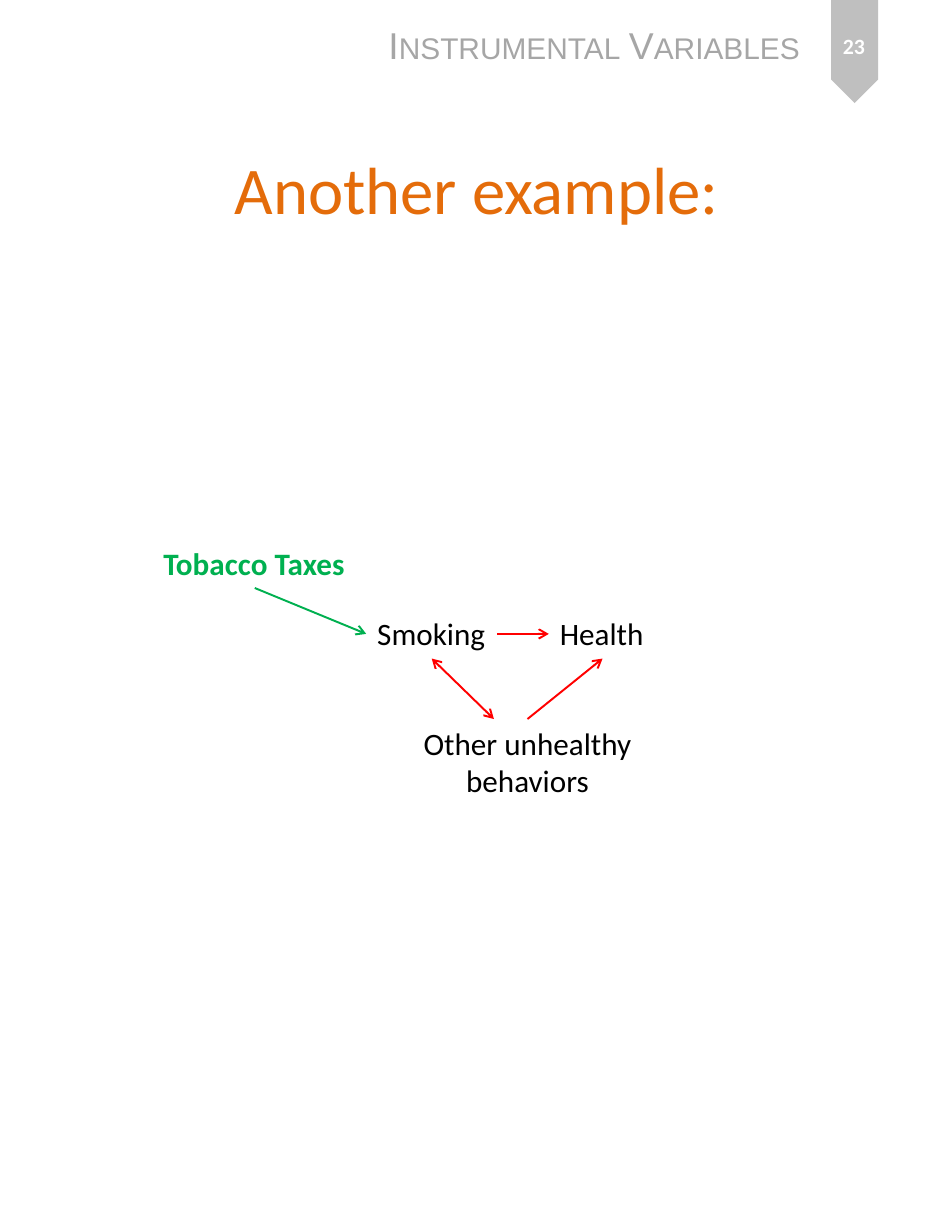
from pptx import Presentation, util as u
from pptx.dml.color import RGBColor
from pptx.enum import shapes, text
from pptx.oxml.ns import qn
from lxml import etree

BLACK = RGBColor(0x00, 0x00, 0x00)
WHITE = RGBColor(0xFF, 0xFF, 0xFF)
SILVER = RGBColor(0xBF, 0xBF, 0xBF)
GREY = RGBColor(0xA6, 0xA6, 0xA6)
ORANGE = RGBColor(0xE4, 0x6C, 0x0A)
RED = RGBColor(0xFF, 0x00, 0x00)
GREEN = RGBColor(0x00, 0xB0, 0x50)

COLS, ROWS = 34, 44  # quarter-inch grid
TOP, LEFT, BOTTOM, RIGHT = range(4)


def write(tf, content, size=20, font="Calibri", color=BLACK, bold=False,
          align=None, small_caps=False):
    """Fill the frame with one paragraph; \\v marks a line break."""
    p = tf.paragraphs[0]
    p.text = content
    p.alignment = align
    for r in p.runs:
        r.font.size = u.Pt(size)
        r.font.name = font
        r.font.bold = bold
        r.font.color.rgb = color
        if small_caps:
            r.font._element.set("cap", "small")


class Page:
    def __init__(self, prs):
        self.s = prs.slides.add_slide(prs.slide_layouts[6])
        self.col = prs.slide_width / COLS
        self.row = prs.slide_height / ROWS

    def grid(self, x, y):
        return round(x * self.col), round(y * self.row)

    def label(self, content, x, y, w, h, wrap=False, anchor=None, **fmt):
        sp = self.s.shapes.add_textbox(*self.grid(x, y), *self.grid(w, h))
        tf = sp.text_frame
        tf.word_wrap = wrap
        tf.auto_size = (text.MSO_AUTO_SIZE.NONE if wrap
                        else text.MSO_AUTO_SIZE.SHAPE_TO_FIT_TEXT)
        tf.vertical_anchor = anchor
        write(tf, content, **fmt)
        return sp

    def ribbon(self, x, y, w, h, color):
        sp = self.s.shapes.add_shape(shapes.MSO_SHAPE.PENTAGON,
                                     *self.grid(x, y), *self.grid(w, h))
        sp.rotation = 90
        sp.shadow.inherit = False
        sp.fill.solid()
        sp.fill.fore_color.rgb = color
        sp.line.fill.background()

    def arrow(self, start, side, end, end_side=None, color=RED, both=False):
        """Run from a side of one label to another label's side or a point."""
        target = (0, 0) if end_side is not None else self.grid(*end)
        c = self.s.shapes.add_connector(shapes.MSO_CONNECTOR.STRAIGHT,
                                        0, 0, *target)
        c.begin_connect(start, side)
        if end_side is not None:
            c.end_connect(end, end_side)
        c.line.color.rgb = color
        c.line.width = u.Pt(1.25)
        ln = c.line._get_or_add_ln()
        for tag in ("a:headEnd", "a:tailEnd") if both else ("a:tailEnd",):
            etree.SubElement(ln, qn(tag), type="arrow")
        etree.SubElement(c._element.spPr, qn("a:effectLst"))


def main():
    prs = Presentation()
    prs.slide_width, prs.slide_height = u.Inches(8.5), u.Inches(11)
    page = Page(prs)
    center = text.PP_ALIGN.CENTER

    # Running header and page number
    page.ribbon(28.68, 1, 3.68, 1.68, SILVER)
    page.label("Instrumental Variables", 13.48, 0.6, 15.56, 2, size=24,
               font="Arial", color=GREY, small_caps=True)
    page.label("23", 29.16, 0.44, 2.68, 2.36, wrap=True,
               anchor=text.MSO_ANCHOR.MIDDLE, size=14, color=WHITE,
               bold=True, align=center)

    # Title
    page.label("Another example:", 1.72, 5.08, 30.6, 7.32, wrap=True,
               size=42.9, color=ORANGE, align=center)

    # Causal diagram: variables
    health = page.label("Health", 19.6, 21.76, 3.84, 1.76)
    smoking = page.label("Smoking", 13.08, 21.76, 4.68, 1.76)
    other = page.label("Other unhealthy\vbehaviors", 14.68, 25.68, 8.32, 3.08,
                       align=center)
    taxes = page.label("Tobacco Taxes", 5.44, 19.24, 7.32, 1.76,
                       color=GREEN, bold=True)

    # Causal diagram: effects
    page.arrow(smoking, RIGHT, health, LEFT)
    page.arrow(other, TOP, health, BOTTOM)
    page.arrow(smoking, BOTTOM, (17.64, 25.68), both=True)
    page.arrow(taxes, BOTTOM, smoking, LEFT, color=GREEN)

    prs.save("out.pptx")


if __name__ == "__main__":
    main()
